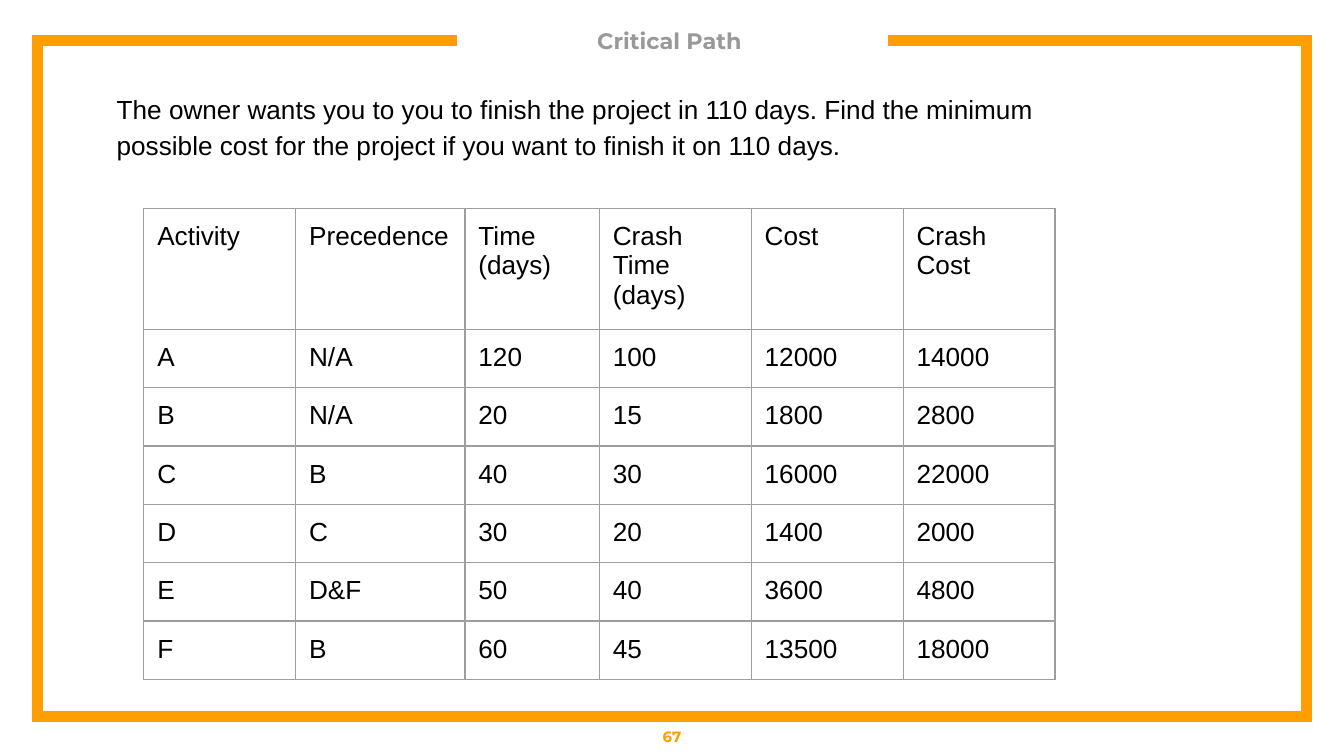
from lxml.etree import SubElement
from pptx import Presentation
from pptx.dml.color import RGBColor
from pptx.enum.text import MSO_ANCHOR, MSO_AUTO_SIZE, PP_ALIGN
from pptx.oxml.ns import qn
from pptx.util import Inches, Pt

COLORS = {"frame": "FF9E00", "title": "999999", "text": "000000", "grid": "9E9E9E"}
FRAME_POINTS = [(3.4, 0.3), (0.28, 0.3), (0.28, 5.33), (9.72, 5.33), (9.72, 0.3), (6.61, 0.3)]
TASK = (
    "The owner wants you to you to finish the project in 110 days. "
    "Find the minimum possible cost for the project if you want to finish it on 110 days."
)
COLUMN_WIDTHS = [1.13, 1.26, 1, 1.13, 1.13, 1.13]
ROW_HEIGHT = 0.42
ACTIVITIES = [
    ["Activity", "Precedence", "Time (days)", "Crash Time (days)", "Cost", "Crash Cost"],
    ["A", "N/A", "120", "100", "12000", "14000"],
    ["B", "N/A", "20", "15", "1800", "2800"],
    ["C", "B", "40", "30", "16000", "22000"],
    ["D", "C", "30", "20", "1400", "2000"],
    ["E", "D&F", "50", "40", "3600", "4800"],
    ["F", "B", "60", "45", "13500", "18000"],
]
MARGINS = ["margin_left", "margin_top", "margin_right", "margin_bottom"]
TITLE_FONT = {"name": "Montserrat", "size": Pt(12), "bold": True}
NUMBER_FONT = {"name": "Montserrat", "size": Pt(8), "bold": True}
BODY_FONT = {"name": "Arial", "size": Pt(14), "bold": False}


def set_attributes(target, values):
    for name, value in values.items():
        setattr(target, name, value)


def set_margins(target, inches):
    set_attributes(target, dict.fromkeys(MARGINS, Inches(inches)))


def write_text(frame, text, font, color, paragraph_format):
    paragraph = frame.paragraphs[0]
    set_attributes(paragraph, paragraph_format)
    run = paragraph.add_run()
    run.text = text
    set_attributes(run.font, font)
    run.font.color.rgb = RGBColor.from_string(COLORS[color])


def add_frame(slide):
    points = [(Inches(x), Inches(y)) for x, y in FRAME_POINTS]
    builder = slide.shapes.build_freeform(*points[0])
    builder.add_line_segments(points[1:], close=False)
    border = builder.convert_to_shape()
    border.shadow.inherit = False
    border.fill.background()
    border.line.width = Pt(6)
    border.line.color.rgb = RGBColor.from_string(COLORS["frame"])
    SubElement(border.line._get_or_add_ln(), qn("a:miter"), lim="800000")


def set_title(slide, text):
    title = slide.shapes.title
    set_attributes(title, {
        "left": Inches(3.55), "top": Inches(0.11),
        "width": Inches(2.91), "height": Inches(0.39),
    })
    set_margins(title.text_frame, 0)
    set_attributes(title.text_frame, {
        "vertical_anchor": MSO_ANCHOR.MIDDLE, "auto_size": MSO_AUTO_SIZE.NONE,
    })
    write_text(title.text_frame, text, TITLE_FONT, "title", {"alignment": PP_ALIGN.CENTER})


def add_text(slide, box, text, font, color, frame_format, paragraph_format):
    frame = slide.shapes.add_textbox(*map(Inches, box)).text_frame
    set_margins(frame, 0.1)
    set_attributes(frame, {"word_wrap": True, **frame_format})
    write_text(frame, text, font, color, paragraph_format)


def set_borders(cell):
    properties = cell._tc.get_or_add_tcPr()
    for position, side in enumerate(["lnL", "lnR", "lnT", "lnB"]):
        line = properties.makeelement(qn(f"a:{side}"), {"w": str(Pt(0.75))})
        fill = SubElement(line, qn("a:solidFill"))
        SubElement(fill, qn("a:srgbClr"), val=COLORS["grid"])
        properties.insert(position, line)


def add_activity_table(slide):
    table = slide.shapes.add_table(
        len(ACTIVITIES), len(COLUMN_WIDTHS), Inches(1.07), Inches(1.55),
        Inches(sum(COLUMN_WIDTHS)), Inches(ROW_HEIGHT * len(ACTIVITIES)),
    ).table
    set_attributes(table, {"first_row": False, "horz_banding": False})
    for column, width in zip(table.columns, COLUMN_WIDTHS):
        column.width = Inches(width)
    for row, values in zip(table.rows, ACTIVITIES):
        row.height = Inches(ROW_HEIGHT)
        for cell, value in zip(row.cells, values):
            cell.fill.background()
            set_margins(cell, 0.1)
            set_borders(cell)
            write_text(cell.text_frame, value, BODY_FONT, "text", {})


def main():
    deck = Presentation()
    set_attributes(deck, {"slide_width": Inches(10), "slide_height": Inches(10) * 9 // 16})
    slide = deck.slides.add_slide(deck.slide_layouts.get_by_name("Title Only"))
    add_frame(slide)
    set_title(slide, "Critical Path ")
    add_text(slide, (0, 5.33, 10, 0.3), "67", NUMBER_FONT, "frame",
             {"vertical_anchor": MSO_ANCHOR.MIDDLE}, {"alignment": PP_ALIGN.CENTER})
    add_text(slide, (0.77, 0.56, 7.1, 0.71), TASK, BODY_FONT, "text",
             {"auto_size": MSO_AUTO_SIZE.SHAPE_TO_FIT_TEXT},
             {"line_spacing": 1.15, "space_before": Pt(12), "space_after": Pt(12)})
    add_activity_table(slide)
    deck.save("out.pptx")


if __name__ == "__main__":
    main()
